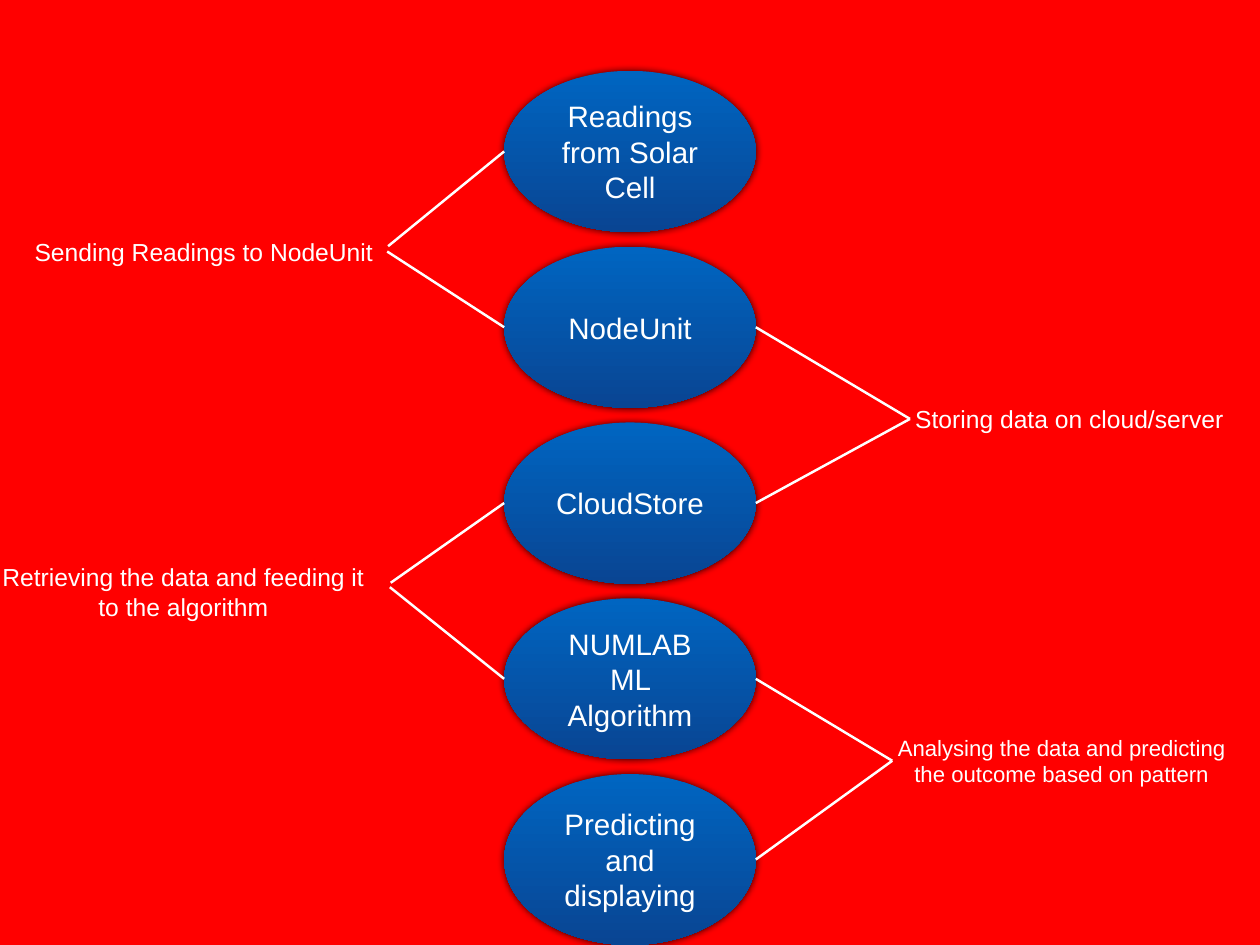
"""Builds a slide showing the flow of solar cell readings to a prediction."""
from lxml import etree
from pptx import Presentation
from pptx.dml.color import RGBColor
from pptx.enum.shapes import MSO_CONNECTOR, MSO_SHAPE
from pptx.enum.text import MSO_ANCHOR, MSO_AUTO_SIZE, PP_ALIGN
from pptx.oxml.ns import qn
from pptx.util import Inches, Pt

OVAL = MSO_SHAPE.OVAL
STRAIGHT = MSO_CONNECTOR.STRAIGHT
CENTER = PP_ALIGN.CENTER
MIDDLE = MSO_ANCHOR.MIDDLE
FIT_SHAPE = MSO_AUTO_SIZE.SHAPE_TO_FIT_TEXT

COLORS = {"background": "FF0000", "top": "0065C1", "bottom": "094593",
          "white": "FFFFFF", "shadow": "000000"}
FONT = "Arial"

STAGE_LEFT, STAGE_TOP, STAGE_WIDTH, STAGE_STEP = 5.69, 0.8, 2.84, 7.94 / 4
STAGE_RIGHT = STAGE_LEFT + STAGE_WIDTH
STAGES = [
    ("Readings from Solar Cell", 1.82),
    ("NodeUnit", 1.82),
    ("CloudStore", 1.82),
    ("NUMLAB ML Algorithm", 1.82),
    ("Predicting and displaying", 1.93),
]

STEPS = [
    (["Sending Readings to NodeUnit"], 20, (0.24, 2.62, 4.12, 0.44),
     STAGE_LEFT, [(4.38, 2.78), (4.37, 2.84)]),
    (["Storing data on cloud/server"], 20, (10.25, 4.51, 3.64, 0.44),
     STAGE_RIGHT, [(10.27, 4.73), (10.27, 4.73)]),
    (["Retrieving the data and feeding it", "to the algorithm"], 20,
     (-0.06, 6.29, 4.26, 0.78), STAGE_LEFT, [(4.41, 6.58), (4.4, 6.63)]),
    (["Analysing the data and predicting", "the outcome based on pattern"], 18,
     (10.07, 8.23, 3.82, 0.72), STAGE_RIGHT, [(10.07, 8.59), (10.07, 8.59)]),
]


def color(name):
    """Return the named colour."""
    return RGBColor.from_string(COLORS[name])


def write(tf, lines, size):
    """Write centred white lines into a text frame."""
    tf.vertical_anchor = MIDDLE
    tf.margin_left = tf.margin_right = Inches(0.06)
    tf.margin_top = tf.margin_bottom = Inches(0.06)
    tf.text = "\n".join(lines)
    for p in tf.paragraphs:
        p.alignment = CENTER
        p.font.name = FONT
        p.font.size = Pt(size)
        p.font.color.rgb = color("white")


def add_glow(shape):
    """Give a shape a soft shadow on all sides."""
    shape.shadow.inherit = False
    effects = shape._element.spPr.find(qn("a:effectLst"))
    outer = etree.SubElement(effects, qn("a:outerShdw"), blurRad=str(Pt(6)),
                             dist="0", dir="18900000", rotWithShape="0")
    rgb = etree.SubElement(outer, qn("a:srgbClr"), val=COLORS["shadow"])
    etree.SubElement(rgb, qn("a:alpha"), val="80000")


def add_stage(s, text, top, height):
    """Add one gradient ellipse with its text."""
    shape = s.shapes.add_shape(OVAL, Inches(STAGE_LEFT), Inches(top),
                               Inches(STAGE_WIDTH), Inches(height))
    shape.fill.gradient()
    shape.fill.gradient_angle = 270
    for stop, name, position in zip(shape.fill.gradient_stops,
                                    ("top", "bottom"), (0, 1)):
        stop.color.rgb = color(name)
        stop.position = position
    shape.line.fill.background()
    add_glow(shape)
    shape.text_frame.word_wrap = True
    write(shape.text_frame, [text], 24)


def add_label(s, lines, size, box):
    """Add the caption of a step."""
    tf = s.shapes.add_textbox(*map(Inches, box)).text_frame
    tf.word_wrap = False
    tf.auto_size = FIT_SHAPE
    write(tf, lines, size)


def add_line(s, start, end):
    """Add a straight white line."""
    line = s.shapes.add_connector(STRAIGHT, *map(Inches, (*start, *end)))
    line.line.color.rgb = color("white")
    line.line.width = Pt(2)
    etree.SubElement(line._element.spPr, qn("a:effectLst"))


def main():
    """Build and save the slide."""
    prs = Presentation()
    prs.slide_width, prs.slide_height = Inches(14.22), Inches(10.67)
    s = prs.slides.add_slide(prs.slide_layouts[6])
    s.background.fill.solid()
    s.background.fill.fore_color.rgb = color("background")

    middles = []
    for i, (text, height) in enumerate(STAGES):
        top = STAGE_TOP + i * STAGE_STEP
        add_stage(s, text, top, height)
        middles.append(top + height / 2)

    for i, (lines, size, box, side, tips) in enumerate(STEPS):
        add_label(s, lines, size, box)
        for tip, middle in zip(tips, middles[i:i + 2]):
            add_line(s, tip, (side, middle))

    prs.save("out.pptx")


main()
